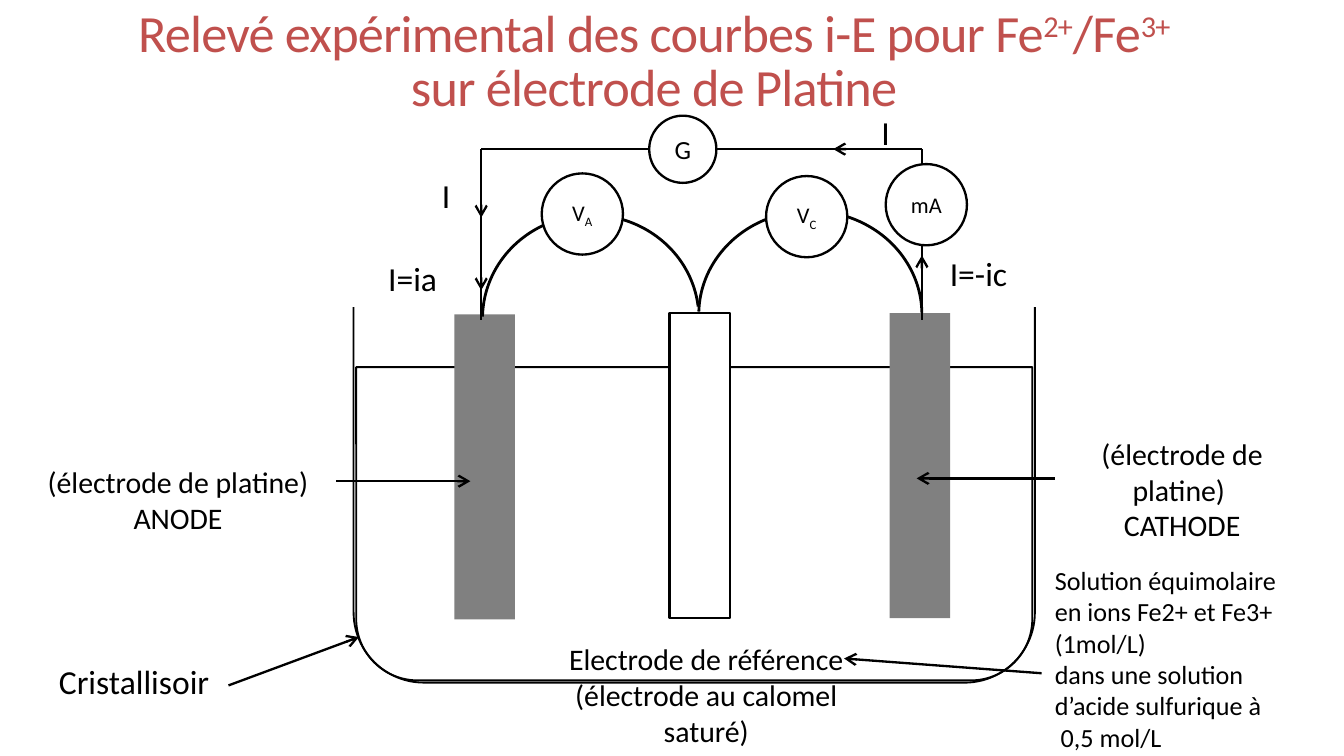
from lxml.etree import SubElement
from pptx import Presentation
from pptx.dml.color import RGBColor
from pptx.enum.shapes import MSO_CONNECTOR, MSO_SHAPE
from pptx.enum.text import MSO_ANCHOR, PP_ALIGN
from pptx.oxml.ns import qn
from pptx.util import Pt

BLACK = RGBColor(0, 0, 0)
WHITE = RGBColor(255, 255, 255)
GRAY = RGBColor(128, 128, 128)
RED = RGBColor(0xC0, 0x50, 0x4D)
FONT = "Calibri"


def add_outline(slide, kind, left, top, width, height, fill=None, line=BLACK, weight=1.25):
    shape = slide.shapes.add_shape(kind, Pt(left), Pt(top), Pt(width), Pt(height))
    shape.shadow.inherit = False
    if fill is None:
        shape.fill.background()
    else:
        shape.fill.solid()
        shape.fill.fore_color.rgb = fill
    if line is None:
        shape.line.fill.background()
    else:
        shape.line.color.rgb = line
        shape.line.width = Pt(weight)
    return shape


def add_wire(slide, start, end, arrow=False):
    points = [Pt(value) for value in (*start, *end)]
    wire = slide.shapes.add_connector(MSO_CONNECTOR.STRAIGHT, *points)
    wire.line.color.rgb = BLACK
    wire.line.width = Pt(1.25)
    if arrow:
        SubElement(wire.line._get_or_add_ln(), qn("a:tailEnd"), type="arrow")
    SubElement(wire._element.spPr, qn("a:effectLst"))


def add_runs(paragraph, pieces, size, color):
    for wording, baseline in pieces:
        run = paragraph.add_run()
        run.text = wording
        run.font.name = FONT
        run.font.size = Pt(size)
        run.font.color.rgb = color
        if baseline:
            run._r.get_or_add_rPr().set("baseline", str(baseline * 1000))


def add_label(slide, left, top, width, height, lines, size, align=PP_ALIGN.LEFT, wrap=False):
    box = slide.shapes.add_textbox(Pt(left), Pt(top), Pt(width), Pt(height))
    frame = box.text_frame
    frame.word_wrap = wrap
    frame.text = "\n".join(lines)
    for paragraph in frame.paragraphs:
        paragraph.alignment = align
        for run in paragraph.runs:
            run.font.name = FONT
            run.font.size = Pt(size)
            run.font.color.rgb = BLACK


def add_meter(slide, left, top, diameter, pieces, size):
    meter = add_outline(slide, MSO_SHAPE.OVAL, left, top, diameter, diameter, WHITE)
    frame = meter.text_frame
    frame.word_wrap = False
    frame.vertical_anchor = MSO_ANCHOR.MIDDLE
    frame.paragraphs[0].alignment = PP_ALIGN.CENTER
    add_runs(frame.paragraphs[0], pieces, size, BLACK)


def add_title(slide, left, top, width, height):
    box = slide.shapes.add_textbox(Pt(left), Pt(top), Pt(width), Pt(height))
    frame = box.text_frame
    frame.word_wrap = True
    frame.vertical_anchor = MSO_ANCHOR.BOTTOM
    heading = frame.paragraphs[0]
    heading.alignment = PP_ALIGN.CENTER
    heading.line_spacing = 0.85
    pieces = [("Relevé expérimental des courbes i-E pour Fe", 0), ("2+", 30), ("/Fe", 0),
              ("3+ ", 30), ("sur électrode de Platine", 0)]
    add_runs(heading, pieces, 28, RED)
    for run in heading.runs:
        run._r.get_or_add_rPr().set("spc", "-40")


def add_vessel(slide, left, top, width, height):
    rounded = MSO_SHAPE.ROUND_2_SAME_RECTANGLE
    wall = add_outline(slide, rounded, left, top, width, height, weight=1)
    solution = add_outline(slide, rounded, left + 1.4, top + 57, width - 2.8, height - 58.2, weight=1)
    solution.adjustments[0] = 0.196
    for part in (wall, solution):
        part.rotation = 180
    add_outline(slide, MSO_SHAPE.RECTANGLE, left - 26, top - 4.3, width + 60, 28.8, WHITE, WHITE, 1)


def add_electrodes(slide, left, top, width, height):
    for dx, dy, fill, line in ((0, 0.7, GRAY, None), (115.2, 0, WHITE, BLACK), (233.2, 0, GRAY, None)):
        add_outline(slide, MSO_SHAPE.RECTANGLE, left + dx, top + dy, width, height, fill, line)


def add_circuit(slide, left, top, width, height):
    right, bottom = left + width, top + height
    add_wire(slide, (right, bottom), (right, top))
    add_wire(slide, (left, bottom), (left, top))
    add_wire(slide, (left, top), (right, top))
    for dx, dy, span, start, end in ((0.7, 35.3, 115.9, 111.815, 215.385),
                                     (116.6, 33.1, 119.5, 108.564, 215.138)):
        arc = add_outline(slide, MSO_SHAPE.ARC, left + dx, top + dy, span, 110.9, weight=1.5)
        arc.adjustments[0] = start
        arc.adjustments[1] = end
        arc._element.spPr.xfrm.set("flipH", "1")
    for dy in (22.3, 61.2):
        add_wire(slide, (left, top + dy), (left, top + dy + 14.4), True)
    add_wire(slide, (right - 27.3, top), (right - 47.5, top), True)
    add_wire(slide, (right, top + 69.9), (right, top + 56.9), True)
    for dx, dy, diameter, pieces, size in (
            (90, -17.9, 36, [("G", 0)], 14),
            (32.4, 13, 43.5, [("V", 0), ("A", -25)], 12),
            (152.6, 14.4, 43.5, [("V", 0), ("C", -25)], 12),
            (216.7, 8, 43.5, [("mA", 0)], 12)):
        add_meter(slide, left + dx, top + dy, diameter, pieces, size)
    for wording, dx, dy, span in (("I", -28.1, 10.1, 19.4), ("I", 207.3, -23.7, 19.4),
                                  ("I=ia", -56.9, 54.7, 41), ("I=-ic", 244, 51.9, 45.4)):
        add_label(slide, left + dx, top + dy, span, 28.8, [wording], 18)


def add_captions(slide, left, top):
    center = PP_ALIGN.CENTER
    captions = (
        (0, 15.1, 156.2, 46, ["(électrode de platine)", "ANODE"], 16, center, False),
        (542.2, 0, 147.6, 65.5, ["(électrode de platine) ", "CATHODE"], 16, center, True),
        (273.6, 110.2, 175, 65, ["Electrode de référence", "(électrode au calomel saturé)"],
         16, center, True),
        (7.2, 121, 96.5, 28.8, ["Cristallisoir"], 18, PP_ALIGN.LEFT, False),
        (540.7, 69.1, 134.6, 106, ["Solution équimolaire", "en ions Fe2+ et Fe3+", "(1mol/L)",
                                   "dans une solution", "d’acide sulfurique à", " 0,5 mol/L"],
         14, PP_ALIGN.LEFT, False))
    for dx, dy, *caption in captions:
        add_label(slide, left + dx, top + dy, *caption)
    for x1, y1, x2, y2 in ((162.7, 28.1, 234.7, 28.1), (547.9, 26.6, 473.8, 26.6),
                           (105.1, 137.5, 175, 111.6), (540.7, 131, 434.9, 123.1)):
        add_wire(slide, (left + x1, top + y1), (left + x2, top + y2), True)


def main():
    presentation = Presentation()
    presentation.slide_width = Pt(720)
    presentation.slide_height = Pt(405)
    slide = presentation.slides.add_slide(presentation.slide_layouts[6])
    add_title(slide, 53.3, 11.5, 594, 54.7)
    add_vessel(slide, 189.4, 139.7, 365, 226)
    add_electrodes(slide, 243.4, 167.8, 32.4, 163.4)
    add_circuit(slide, 257.8, 79.9, 236.1, 91.4)
    add_captions(slide, 17.3, 229.7)
    presentation.save("out.pptx")


if __name__ == "__main__":
    main()
